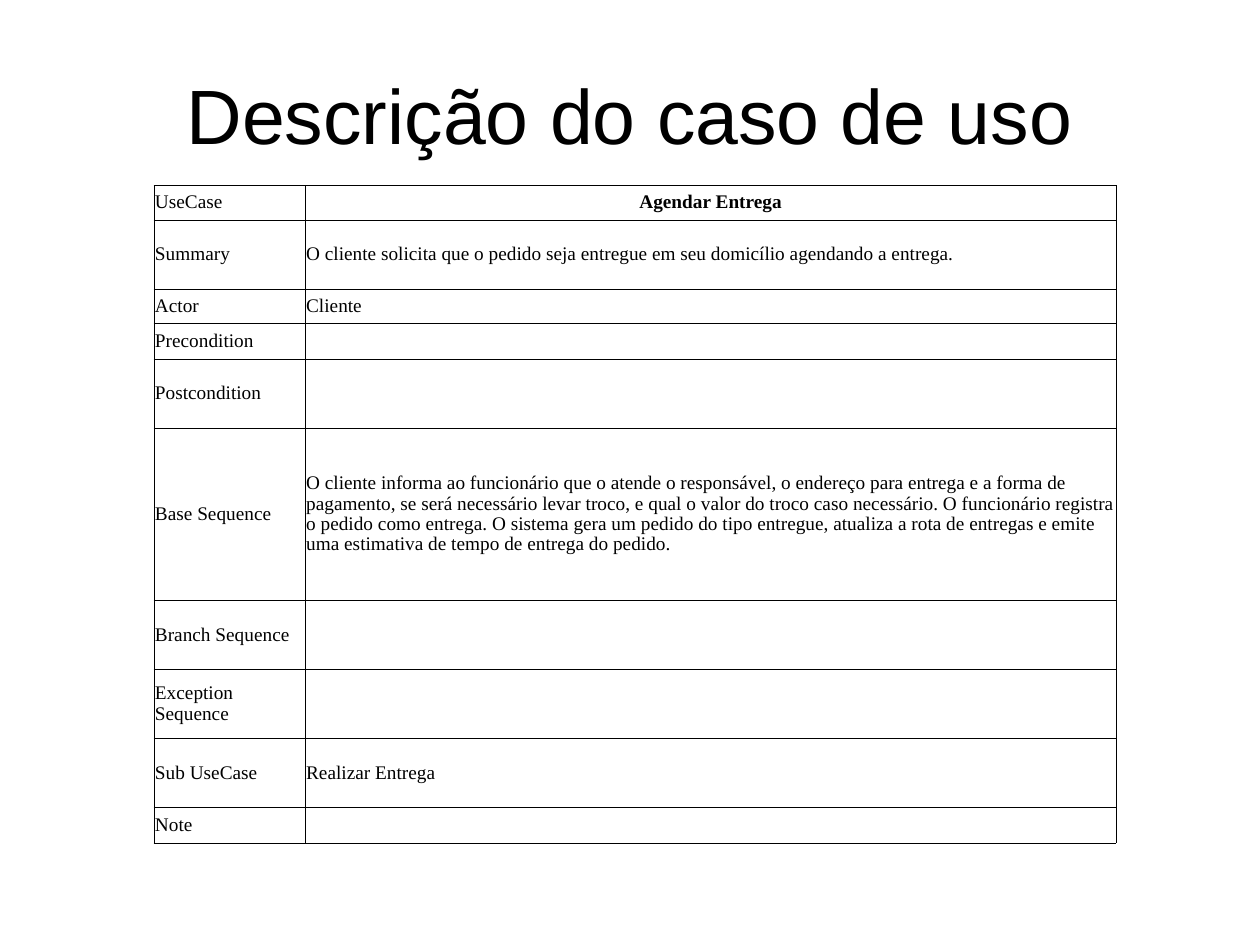
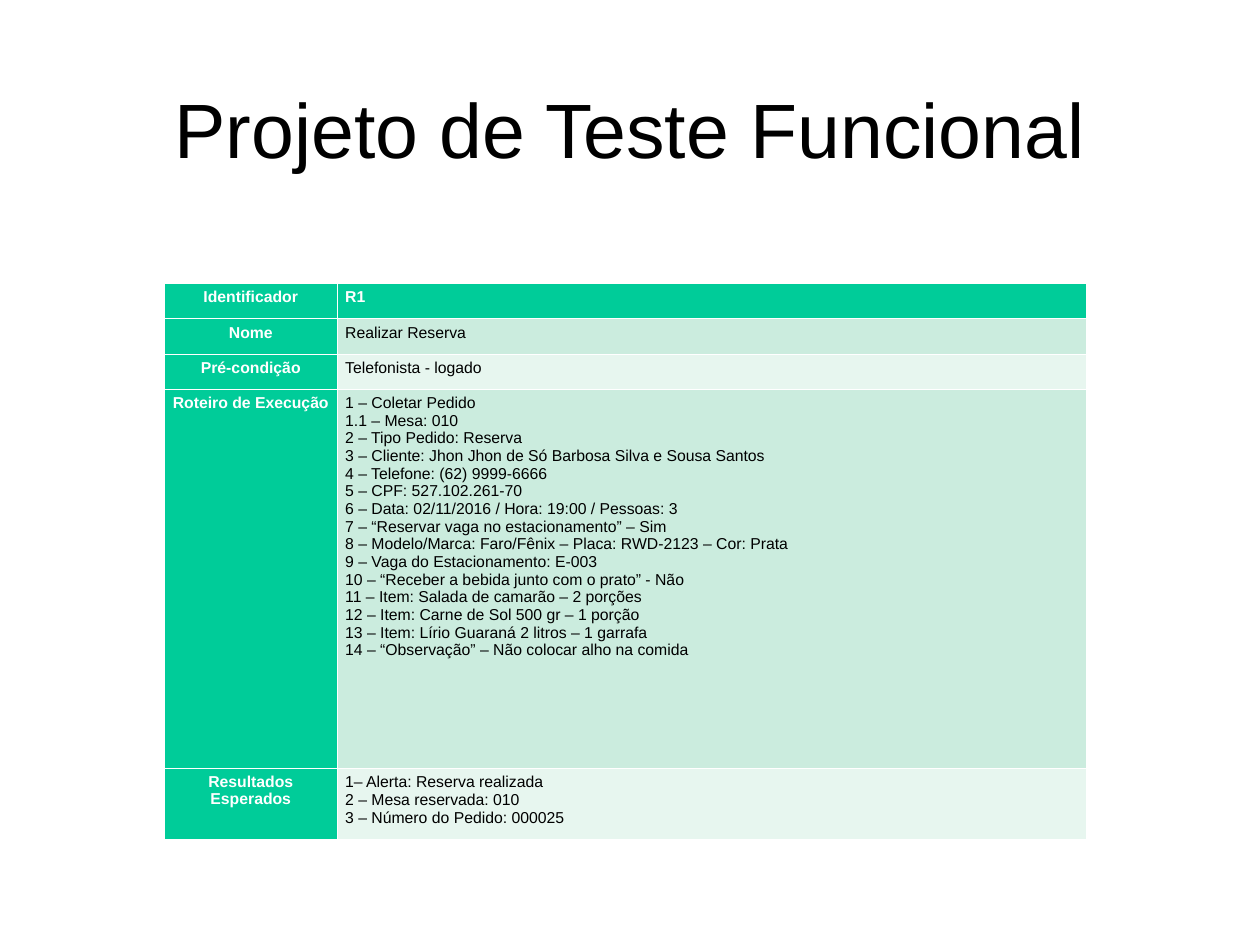
from dataclasses import dataclass

from lxml.etree import SubElement
from pptx import Presentation
from pptx.dml.color import RGBColor
from pptx.enum.text import MSO_ANCHOR as Anchor, PP_ALIGN as Align
from pptx.oxml.ns import qn
from pptx.util import Inches, Pt

USE_CASE_TITLE = "Descrição do caso de uso"
USE_CASE = [
    ("UseCase", "Agendar Entrega", 1),
    ("Summary", "O cliente solicita que o pedido seja entregue em seu domicílio agendando a entrega.", 2),
    ("Actor", "Cliente", 1),
    ("Precondition", "", 1),
    ("Postcondition", "", 2),
    ("Base Sequence",
     "O cliente informa ao funcionário que o atende o responsável, o endereço para entrega "
     "e a forma de pagamento, se será necessário levar troco, e qual o valor do troco caso "
     "necessário. O funcionário registra o pedido como entrega. O sistema gera um pedido do "
     "tipo entregue, atualiza a rota de entregas e emite uma estimativa de tempo de entrega "
     "do pedido.", 5),
    ("Branch Sequence", "", 2),
    ("Exception Sequence", "", 2),
    ("Sub UseCase", "Realizar Entrega", 2),
    ("Note", "", 1),
]

TEST_TITLE = "Projeto de Teste Funcional"
TEST_STEPS = """1 – Coletar Pedido
1.1 – Mesa: 010
2 – Tipo Pedido: Reserva
3 – Cliente: Jhon Jhon de Só Barbosa Silva e Sousa Santos
4 – Telefone: (62) 9999-6666
5 – CPF: 527.102.261-70
6 – Data: 02/11/2016 / Hora: 19:00 / Pessoas: 3
7 – “Reservar vaga no estacionamento” – Sim
8 – Modelo/Marca: Faro/Fênix – Placa: RWD-2123 – Cor: Prata
9 – Vaga do Estacionamento: E-003
10 – “Receber a bebida junto com o prato” - Não
11 – Item: Salada de camarão – 2 porções
12 – Item: Carne de Sol 500 gr – 1 porção
13 – Item: Lírio Guaraná 2 litros – 1 garrafa
14 – “Observação” – Não colocar alho na comida"""
TEST_RESULTS = """1– Alerta: Reserva realizada
2 – Mesa reservada: 010
3 – Número do Pedido: 000025"""
TEST_CASE = [
    ("Identificador", "R1", 0.28),
    ("Nome", "Realizar Reserva", 0.28),
    ("Pré-condição", "Telefonista - logado", 0.28),
    ("Roteiro de Execução", TEST_STEPS, 3.01),
    ("Resultados Esperados", TEST_RESULTS, 0.56),
]


@dataclass(frozen=True)
class Theme:
    black: str = "000000"
    white: str = "FFFFFF"
    green: str = "00CC99"
    bands: tuple = ("E7F6EF", "CBECDE")
    sans: str = "Arial"
    serif: str = "Times New Roman"
    title_size: int = 44
    use_case_size: int = 11
    test_size: int = 9
    thin: float = 0.11
    light: float = 0.23
    header: float = 0.75


THEME = Theme()


def write_text(frame, text, *, size, font=THEME.sans, color=THEME.black, bold=False,
               align=Align.LEFT, first_spacing=1.0):
    frame.word_wrap = True
    for index, line in enumerate(text.split("\n")):
        para = frame.add_paragraph() if index else frame.paragraphs[0]
        para.alignment = align
        para.line_spacing = 1.0 if index else first_spacing
        if line:
            span = para.add_run()
            span.text = line
            span.font.size = Pt(size)
            span.font.name = font
            span.font.bold = bold
            span.font.color.rgb = RGBColor.from_string(color)
        else:
            SubElement(para._p, qn("a:endParaRPr"), sz=str(size * 100))


def add_title(page, text, top):
    box = page.shapes.add_textbox(Inches(0.5), Inches(top), Inches(9), Inches(1.25))
    box.text_frame.vertical_anchor = Anchor.MIDDLE
    write_text(box.text_frame, text, size=THEME.title_size, align=Align.CENTER)


def style_cell(cell, *, color, widths, inset, anchor, fill=None):
    cell.margin_left = cell.margin_right = Inches(inset)
    cell.margin_top = cell.margin_bottom = Inches(0.05)
    cell.vertical_anchor = anchor
    properties = cell._tc.get_or_add_tcPr()
    for side, width in zip("LRTB", widths):
        line = SubElement(properties, qn(f"a:ln{side}"), w=str(int(Pt(width))))
        paint = SubElement(line, qn("a:solidFill"))
        SubElement(paint, qn("a:srgbClr"), val=color)
    if fill:
        cell.fill.solid()
        cell.fill.fore_color.rgb = RGBColor.from_string(fill)
    else:
        cell.fill.background()


def add_grid(page, left, top, column_widths, row_heights):
    frame = page.shapes.add_table(
        len(row_heights), len(column_widths), Inches(left), Inches(top),
        Inches(sum(column_widths)), Inches(sum(row_heights)))
    table = frame.table
    table.first_row = table.horz_banding = False
    for column, width in zip(table.columns, column_widths):
        column.width = Inches(width)
    for row, height in zip(table.rows, row_heights):
        row.height = Inches(height)
    return table


def build_use_case(page):
    add_title(page, USE_CASE_TITLE, 0.28)
    unit = 5.2 / sum(units for *_, units in USE_CASE)
    table = add_grid(page, 1.22, 1.47, (1.2, 6.44), [units * unit for *_, units in USE_CASE])
    for row, (*texts, _) in enumerate(USE_CASE):
        for column, text in enumerate(texts):
            cell = table.cell(row, column)
            heading = row == 0 and column == 1
            write_text(cell.text_frame, text, size=THEME.use_case_size, font=THEME.serif,
                       bold=heading, align=Align.CENTER if heading else Align.LEFT,
                       first_spacing=0.95)
            style_cell(cell, color=THEME.black, widths=[THEME.thin] * 4,
                       inset=0.01, anchor=Anchor.MIDDLE)


def build_test_case(page):
    add_title(page, TEST_TITLE, 0.39)
    table = add_grid(page, 1.3, 2.25, (1.38, 5.94), [height for *_, height in TEST_CASE])
    for row, (*texts, _) in enumerate(TEST_CASE):
        for column, text in enumerate(texts):
            cell = table.cell(row, column)
            heading = row == 0 or column == 0
            write_text(cell.text_frame, text, size=THEME.test_size, bold=heading,
                       color=THEME.white if heading else THEME.black,
                       align=Align.LEFT if column else Align.CENTER, first_spacing=0.93)
            above = THEME.header if row == 1 else THEME.light
            below = THEME.header if row == 0 else THEME.light
            style_cell(cell, color=THEME.white, widths=(THEME.light, THEME.light, above, below),
                       inset=0.06, anchor=Anchor.TOP,
                       fill=THEME.green if heading else THEME.bands[row % 2])


def main():
    deck = Presentation()
    deck.slide_width, deck.slide_height = Inches(10), Inches(7.5)
    for build in (build_use_case, build_test_case):
        build(deck.slides.add_slide(deck.slide_layouts[6]))
    deck.save("out.pptx")


if __name__ == "__main__":
    main()
